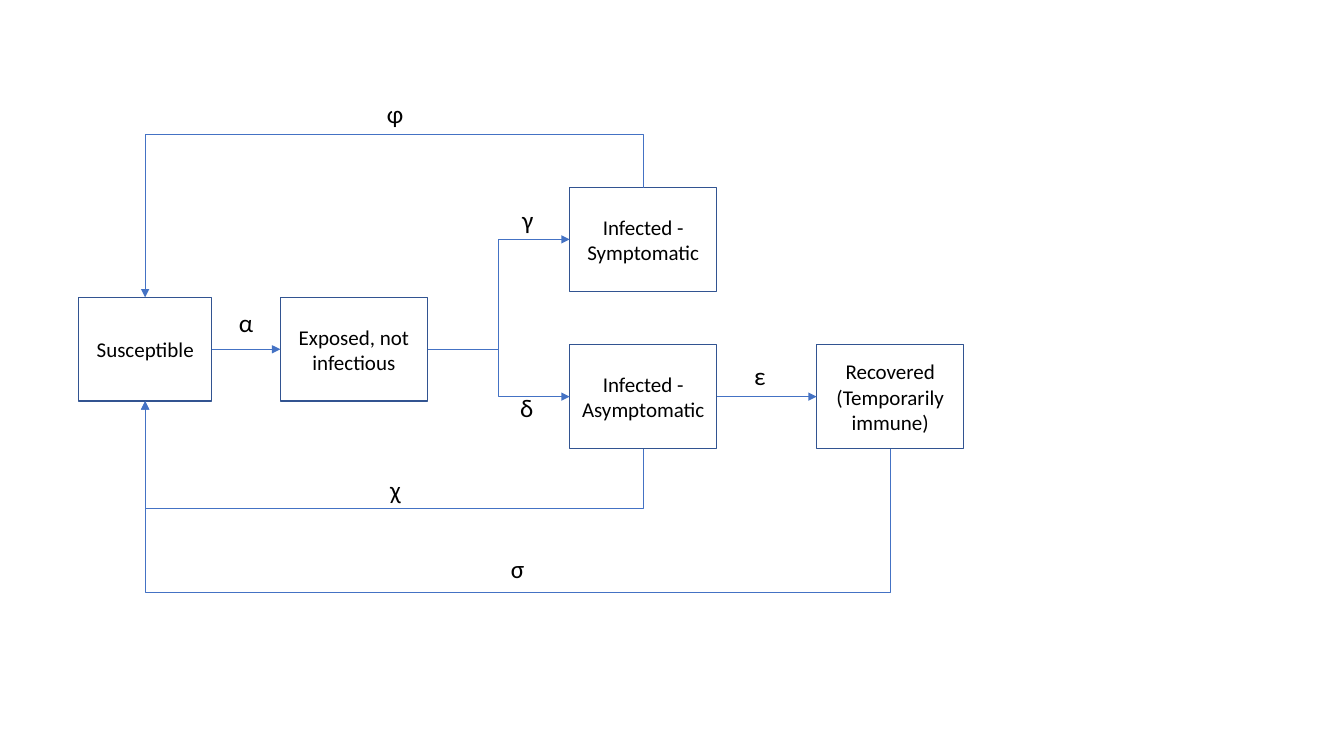
from dataclasses import dataclass

from lxml.etree import SubElement
from pptx import Presentation
from pptx.dml.color import RGBColor
from pptx.enum.shapes import MSO_CONNECTOR as Link, MSO_SHAPE
from pptx.enum.text import MSO_ANCHOR, MSO_AUTO_SIZE, PP_ALIGN
from pptx.oxml.ns import qn
from pptx.shapes.autoshape import Shape
from pptx.shapes.connector import Connector
from pptx.slide import Slide
from pptx.text.text import _Paragraph as Paragraph
from pptx.util import Emu, Pt

PX = 9144  # 100 px to the inch
BOX_HEIGHT = 103
LABEL_HEIGHT = 40
FONT = "Calibri"
BLACK = RGBColor(0x00, 0x00, 0x00)
BOX_LINE = RGBColor(0x32, 0x54, 0x91)
ARROW_LINE = RGBColor(0x44, 0x72, 0xC4)
TOP, LEFT, BOTTOM, RIGHT = range(4)  # connection sites of a rectangle


@dataclass(frozen=True)
class Compartment:
    name: str
    x: int
    y: int
    width: int = 146


@dataclass(frozen=True)
class Flow:
    source: str
    target: str
    kind: Link = Link.STRAIGHT


@dataclass(frozen=True)
class Return:
    source: str
    side: int
    via_y: int


@dataclass(frozen=True)
class Rate:
    symbol: str
    x: int
    y: int
    width: int


SUSCEPTIBLE = "Susceptible"
EXPOSED = "Exposed, not infectious"
SYMPTOMATIC = "Infected - Symptomatic"
ASYMPTOMATIC = "Infected - Asymptomatic"
RECOVERED = "Recovered (Temporarily immune)"

COMPARTMENTS = [
    Compartment(SUSCEPTIBLE, 78, 295, 132),
    Compartment(EXPOSED, 278, 295),
    Compartment(SYMPTOMATIC, 565, 186),
    Compartment(ASYMPTOMATIC, 565, 342),
    Compartment(RECOVERED, 810, 342),
]
FLOWS = [
    Flow(SUSCEPTIBLE, EXPOSED),
    Flow(EXPOSED, SYMPTOMATIC, Link.ELBOW),
    Flow(EXPOSED, ASYMPTOMATIC, Link.ELBOW),
    Flow(ASYMPTOMATIC, RECOVERED),
]
RETURNS = [
    Return(SYMPTOMATIC, TOP, 133),
    Return(ASYMPTOMATIC, BOTTOM, 504),
    Return(RECOVERED, BOTTOM, 588),
]
RATES = [
    Rate("α", 227, 300, 35),
    Rate("γ", 508, 198, 31),
    Rate("δ", 506, 384, 33),
    Rate("ε", 738, 353, 32),
    Rate("φ", 374, 93, 37),
    Rate("χ", 377, 466, 31),
    Rate("σ", 497, 544, 34),
]


def px(n: int) -> Emu:
    return Emu(n * PX)


def add_text(p: Paragraph, text: str, size: int) -> None:
    r = p.add_run()
    r.text = text
    r.font.name = FONT
    r.font.size = Pt(size)
    r.font.color.rgb = BLACK


def add_compartment(s: Slide, box: Compartment) -> Shape:
    sp = s.shapes.add_shape(MSO_SHAPE.RECTANGLE, px(box.x), px(box.y),
                            px(box.width), px(BOX_HEIGHT))
    sp.shadow.inherit = False
    sp.fill.background()
    sp.line.color.rgb = BOX_LINE
    sp.line.width = Pt(1)
    tf = sp.text_frame
    tf.word_wrap = True
    tf.vertical_anchor = MSO_ANCHOR.MIDDLE
    p = tf.paragraphs[0]
    p.alignment = PP_ALIGN.CENTER
    add_text(p, box.name, 15)
    return sp


def add_rate(s: Slide, rate: Rate) -> None:
    sp = s.shapes.add_textbox(px(rate.x), px(rate.y), px(rate.width), px(LABEL_HEIGHT))
    tf = sp.text_frame
    tf.word_wrap = False
    tf.auto_size = MSO_AUTO_SIZE.SHAPE_TO_FIT_TEXT
    add_text(tf.paragraphs[0], rate.symbol, 18)


def add_arrow(s: Slide, kind: Link, source: Shape, source_side: int,
              target: Shape, target_side: int) -> Connector:
    arrow = s.shapes.add_connector(kind, 0, 0, 0, 0)
    arrow.begin_connect(source, source_side)
    arrow.end_connect(target, target_side)
    arrow.line.color.rgb = ARROW_LINE
    arrow.line.width = Pt(0.5)
    SubElement(arrow.line._get_or_add_ln(), qn("a:tailEnd"), type="triangle")
    SubElement(arrow._element.spPr, qn("a:effectLst"))
    return arrow


def add_return(s: Slide, source: Shape, target: Shape, side: int, via_y: int) -> None:
    """Loop back to the target on the left, by way of the height via_y."""
    arrow = add_arrow(s, Link.ELBOW, source, side, target, side)
    x1, y1, x2, y2 = arrow.begin_x, arrow.begin_y, arrow.end_x, arrow.end_y
    mid_x, mid_y = (x1 + x2) // 2, (y1 + y2) // 2
    half_w, half_h = abs(y2 - y1) // 2, abs(x2 - x1) // 2
    turn, down = (270, 1) if side == TOP else (90, -1)

    # The frame is stored unturned, so its width and height change places.
    arrow.begin_x, arrow.end_x = mid_x + half_w, mid_x - half_w
    arrow.begin_y, arrow.end_y = mid_y + down * half_h, mid_y - down * half_h
    arrow._element.spPr.find(qn("a:xfrm")).set("rot", str(turn * 60000))
    bend = round((px(via_y) - y1) / (y2 - y1) * 100000)
    guides = arrow._element.spPr.find(qn("a:prstGeom")).find(qn("a:avLst"))
    SubElement(guides, qn("a:gd"), name="adj1", fmla=f"val {bend}")


def main() -> None:
    prs = Presentation()
    prs.slide_width, prs.slide_height = px(1333), px(750)
    s = prs.slides.add_slide(prs.slide_layouts[6])
    boxes = {box.name: add_compartment(s, box) for box in COMPARTMENTS}
    for flow in FLOWS:
        add_arrow(s, flow.kind, boxes[flow.source], RIGHT, boxes[flow.target], LEFT)
    for loop in RETURNS:
        add_return(s, boxes[loop.source], boxes[SUSCEPTIBLE], loop.side, loop.via_y)
    for rate in RATES:
        add_rate(s, rate)
    prs.save("out.pptx")


if __name__ == "__main__":
    main()
